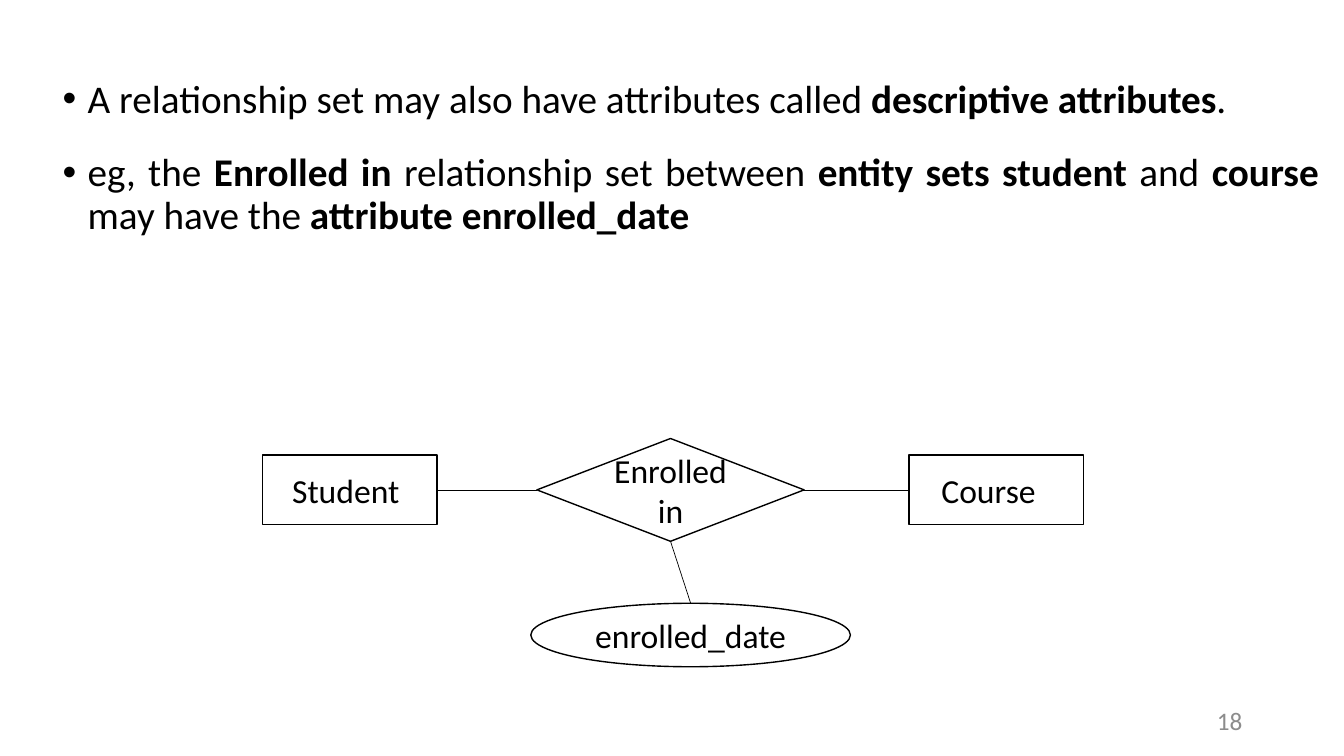
from lxml.etree import SubElement
from pptx import Presentation
from pptx.dml.color import RGBColor
from pptx.enum.shapes import MSO_CONNECTOR as Connector, MSO_SHAPE as Shape
from pptx.enum.text import MSO_ANCHOR as Anchor, PP_ALIGN as Align
from pptx.oxml.ns import qn
from pptx.util import Inches, Pt

BLACK = RGBColor(0x00, 0x00, 0x00)
WHITE = RGBColor(0xFF, 0xFF, 0xFF)
GRAY = RGBColor(0x8C, 0x8C, 0x8C)
FONT = "Calibri"
ROW_CENTER = 4.86
TOP, LEFT, BOTTOM, RIGHT = range(4)

BULLETS = [
    [("A relationship set may also have attributes called ", False),
     ("descriptive attributes", True), (".", False)],
    [("eg, the ", False), ("Enrolled in ", True),
     ("relationship set between ", False), ("entity sets student", True),
     (" and ", False), ("course", True), (" may have the ", False),
     ("attribute enrolled_date", True)],
]


def add_run(paragraph, text, size, color=BLACK, bold=False):
    """Append one formatted run to a paragraph."""
    run = paragraph.add_run()
    run.text = text
    run.font.name = FONT
    run.font.size = Pt(size)
    run.font.bold = bold
    run.font.color.rgb = color


def fill_body(body):
    """Place the body placeholder and write the justified bullets."""
    body.left, body.top = Inches(0.52), Inches(0.74)
    body.width, body.height = Inches(12.66), Inches(6.61)
    frame = body.text_frame
    for index, runs in enumerate(BULLETS):
        paragraph = frame.add_paragraph() if index else frame.paragraphs[0]
        properties = paragraph._p.get_or_add_pPr()
        properties.set("marL", str(Inches(0.25)))
        properties.set("indent", str(-Inches(0.25)))
        SubElement(properties, qn("a:buFont"), typeface="Arial")
        SubElement(properties, qn("a:buChar"), char="•")
        paragraph.alignment = Align.JUSTIFY
        paragraph.line_spacing = 0.9
        paragraph.space_before = Pt(10 if index else 0)
        paragraph.space_after = Pt(12)
        for text, bold in runs:
            add_run(paragraph, text, 28, bold=bold)


def add_node(slide, kind, text, center_x, center_y, width, height, right_inset=0.1):
    """Add an outlined diagram node around its center."""
    node = slide.shapes.add_shape(
        kind, Inches(center_x - width / 2), Inches(center_y - height / 2),
        Inches(width), Inches(height))
    node.shadow.inherit = False
    node.fill.solid()
    node.fill.fore_color.rgb = WHITE
    node.line.color.rgb = BLACK
    node.line.width = Pt(1)
    frame = node.text_frame
    frame.word_wrap = True
    frame.vertical_anchor = Anchor.MIDDLE
    frame.margin_right = Inches(right_inset)
    paragraph = frame.paragraphs[0]
    paragraph.alignment = Align.CENTER
    add_run(paragraph, text, 24)
    return node


def link(slide, start, start_site, end, end_site):
    """Join two nodes with a thin straight line."""
    line = slide.shapes.add_connector(Connector.STRAIGHT, 0, 0, 0, 0)
    line.begin_connect(start, start_site)
    line.end_connect(end, end_site)
    line.line.color.rgb = BLACK
    line.line.width = Pt(0.5)
    SubElement(line._element.spPr, qn("a:effectLst"))


def add_page_number(slide, number):
    """Add the gray page number at the lower right."""
    box = slide.shapes.add_textbox(Inches(9.42), Inches(6.95), Inches(3), Inches(0.4))
    frame = box.text_frame
    frame.word_wrap = True
    frame.vertical_anchor = Anchor.MIDDLE
    paragraph = frame.paragraphs[0]
    paragraph.alignment = Align.RIGHT
    add_run(paragraph, number, 18, GRAY)


def main():
    """Build the relationship attribute slide."""
    presentation = Presentation()
    presentation.slide_width, presentation.slide_height = Inches(13.33), Inches(7.5)
    slide = presentation.slides.add_slide(presentation.slide_layouts[1])
    title = slide.shapes.title._element
    title.getparent().remove(title)
    fill_body(slide.placeholders[1])
    add_page_number(slide, "18")

    student = add_node(slide, Shape.RECTANGLE, "Student", 3.47, ROW_CENTER, 1.73, 0.69, 0.18)
    course = add_node(slide, Shape.RECTANGLE, "Course", 9.88, ROW_CENTER, 1.73, 0.69, 0.25)
    enrolled = add_node(slide, Shape.FLOWCHART_DECISION, "Enrolled in",
                        6.65, ROW_CENTER, 2.65, 1.02)
    date = add_node(slide, Shape.OVAL, "enrolled_date", 6.85, 6.3, 3.17, 0.63)
    link(slide, student, RIGHT, enrolled, LEFT)
    link(slide, enrolled, RIGHT, course, LEFT)
    link(slide, enrolled, BOTTOM, date, TOP)
    presentation.save("out.pptx")


if __name__ == "__main__":
    main()
